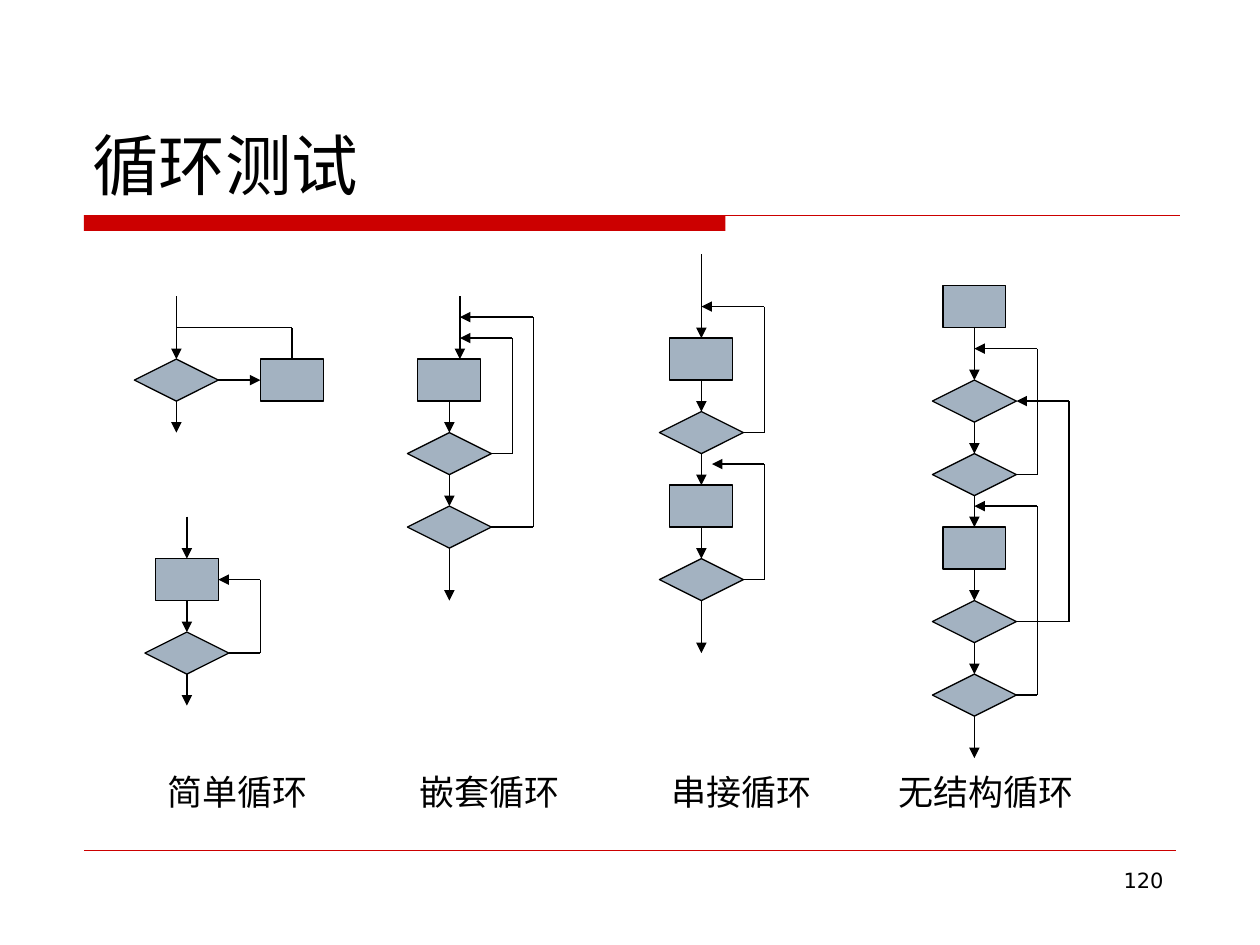
from itertools import pairwise

from lxml import etree
from pptx import Presentation
from pptx import util as u
from pptx.dml.color import RGBColor
from pptx.enum import shapes, text
from pptx.oxml import ns

PX = 7620
FONT = "DejaVu Sans"
COLORS = {"red": "CC0000", "steel": "A3B2C1", "black": "000000"}
NODE_WIDTHS = {"RECTANGLE": 60, "DIAMOND": 80}
NODE_HEIGHT = 40
BOX, TEST = NODE_WIDTHS

LABELS = [
    ("简单循环", 148, 172),
    ("嵌套循环", 388, 166),
    ("串接循环", 628, 169),
    ("无结构循环", 844, 206),
]
FLOWS = [
    (168, 282, [(TEST, 362)], 412),
    (178, 492, [(BOX, 552), (TEST, 622)], 672),
    (428, None, [(BOX, 362), (TEST, 432), (TEST, 502)], 572),
    (668, 242, [(BOX, 342), (TEST, 412), (BOX, 482), (TEST, 552)], 622),
    (928, None, [(BOX, 292), (TEST, 382), (TEST, 452), (BOX, 522),
                 (TEST, 592), (TEST, 662)], 722),
]
LOOPS = [
    (218, 622, 248, 552, 208),
    (468, 432, 488, 322, 438),
    (468, 502, 508, 302, 438),
    (708, 412, 728, 292, 668),
    (708, 552, 728, 442, 678),
    (968, 452, 988, 332, 928),
    (968, 592, 1018, 382, 968),
    (968, 662, 988, 482, 928),
]


class LoopDiagram:
    """Holds the style and the current slide, and draws flowchart elements."""

    def __init__(self, slide):
        self.slide = slide

    def color(self, name):
        return RGBColor.from_string(COLORS[name])

    def box(self, kind, left, top, width, height, fill, line=None):
        shape = self.slide.shapes.add_shape(
            getattr(shapes.MSO_SHAPE, kind),
            *(value * PX for value in (left, top, width, height)))
        shape.shadow.inherit = False
        shape.fill.solid()
        shape.fill.fore_color.rgb = self.color(fill)
        if line:
            shape.line.color.rgb = self.color(line)
            shape.line.width = u.Pt(0.75)
        else:
            shape.line.fill.background()

    def line(self, start, end, arrow=False, color="black", width=0.75):
        connector = self.slide.shapes.add_connector(
            shapes.MSO_CONNECTOR.STRAIGHT,
            *(value * PX for value in (*start, *end)))
        connector.line.color.rgb = self.color(color)
        connector.line.width = u.Pt(width)
        if arrow:
            etree.SubElement(connector.line._get_or_add_ln(),
                             ns.qn("a:tailEnd"), type="triangle")
        etree.SubElement(connector._element.spPr, ns.qn("a:effectLst"))

    def route(self, points, arrow=True):
        segments = list(pairwise(points))
        for index, (start, end) in enumerate(segments, 1):
            self.line(start, end, arrow and index == len(segments))

    def loop(self, left, bottom, right, top, target):
        self.route([(left, bottom), (right, bottom), (right, top), (target, top)])

    def flow(self, x, start, nodes, end):
        previous = start
        for kind, middle in nodes:
            width, top = NODE_WIDTHS[kind], middle - NODE_HEIGHT // 2
            self.box(kind, x - width // 2, top, width, NODE_HEIGHT, "steel", "black")
            if previous is not None:
                self.line((x, previous), (x, top), arrow=True)
            previous = top + NODE_HEIGHT
        self.line((x, previous), (x, end), arrow=True)

    def text(self, words, left, top, width, height, size,
             anchor="TOP", align="LEFT"):
        shape = self.slide.shapes.add_textbox(
            *(value * PX for value in (left, top, width, height)))
        frame = shape.text_frame
        frame.word_wrap = True
        frame.vertical_anchor = getattr(text.MSO_ANCHOR, anchor)
        paragraph = frame.paragraphs[0]
        paragraph.alignment = getattr(text.PP_ALIGN, align)
        run = paragraph.add_run()
        run.text = words
        for name, value in {"name": FONT, "size": u.Pt(size)}.items():
            setattr(run.font, name, value)
        run.font.color.rgb = self.color("black")


def main():
    presentation = Presentation()
    presentation.slide_width, presentation.slide_height = 1200 * PX, 900 * PX
    diagram = LoopDiagram(presentation.slides.add_slide(presentation.slide_layouts[6]))

    diagram.box("RECTANGLE", 80, 205, 611, 15, "red")
    diagram.line((80, 205), (1124, 205), color="red")
    diagram.line((80, 810), (1120, 810), color="red", width=0.25)
    diagram.text("120", 860, 820, 260, 62, 12, align="RIGHT")
    diagram.text("循环测试", 76, 40, 1050, 160, 38, anchor="BOTTOM")
    for words, left, width in LABELS:
        diagram.text(words, left, 728, width, 53, 20)

    for flow in FLOWS:
        diagram.flow(*flow)
    for loop in LOOPS:
        diagram.loop(*loop)

    diagram.box(BOX, 248, 342, NODE_WIDTHS[BOX], NODE_HEIGHT, "steel", "black")
    diagram.line((208, 362), (248, 362), arrow=True)
    diagram.route([(278, 342), (278, 312), (168, 312)], arrow=False)
    diagram.line((438, 282), (438, 342), arrow=True)
    presentation.save("out.pptx")


if __name__ == "__main__":
    main()
